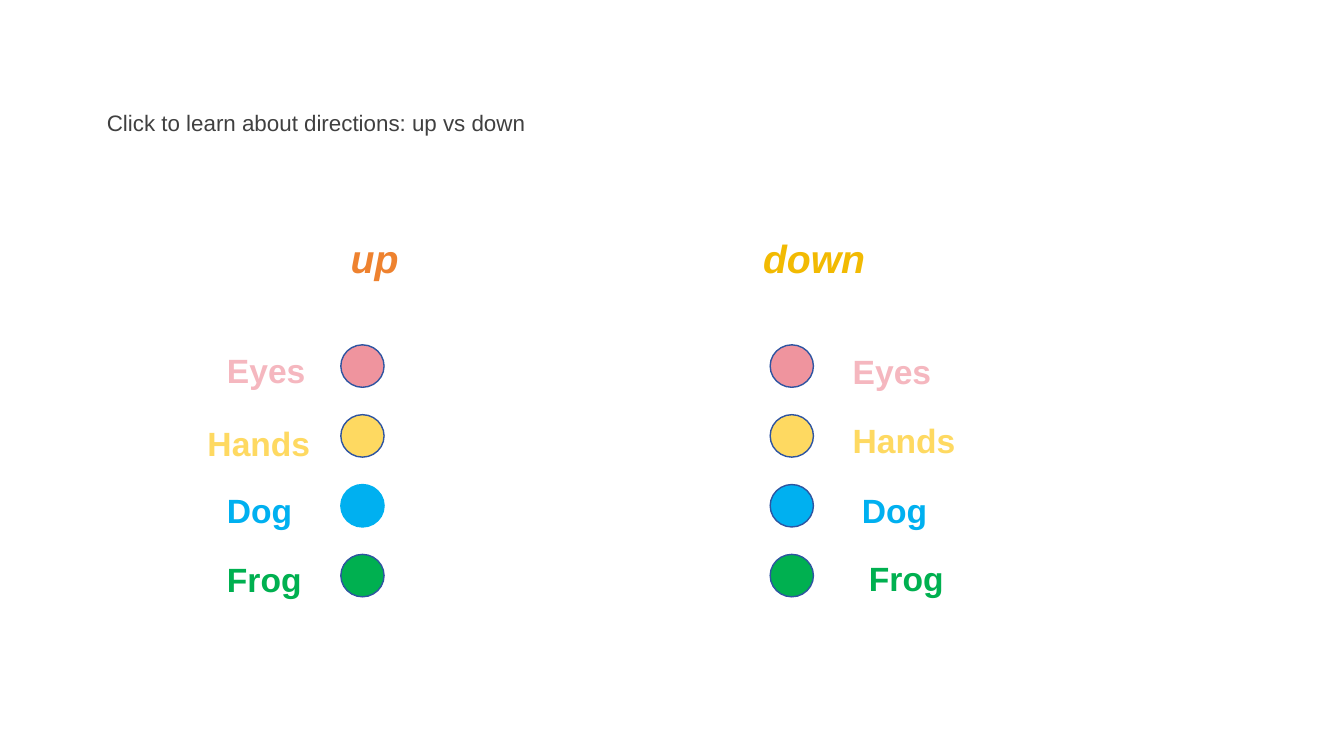
from pptx import Presentation
from pptx.dml.color import RGBColor
from pptx.enum.shapes import MSO_SHAPE
from pptx.enum.text import MSO_ANCHOR, MSO_AUTO_SIZE, PP_ALIGN
from pptx.util import Cm, Pt

OVAL = MSO_SHAPE.OVAL
TOP = MSO_ANCHOR.TOP
FIXED = MSO_AUTO_SIZE.NONE
LEFT = PP_ALIGN.LEFT

FONT = "Arial"
EDGE = "2E54A1"
PITCH = 1.76
DOT_W, DOT_H = 1.09, 1.07
ROWS = [
    ("Eyes", "EF949E", "F5B7BF", 2.69, 0.9),
    ("Hands", "FED961", "FED961", 3.42, 0.97),
    ("Dog", "00B0F0", "00B0F0", 2.21, 0.69),
    ("Frog", "00B050", "00B050", 2.6, 1.09),
]


def color(code):
    """Turn a hex string into a colour."""
    return RGBColor.from_string(code)


def write(shape, text, size, code, bold=False, slant=False):
    """Set one line of left-aligned text in a shape."""
    frame = shape.text_frame
    frame.text = text
    frame.word_wrap = True
    frame.auto_size = FIXED
    frame.vertical_anchor = TOP
    line = frame.paragraphs[0]
    line.alignment = LEFT
    font = line.runs[0].font
    font.name, font.size = FONT, Pt(size)
    font.bold, font.italic = bold, slant
    font.color.rgb = color(code)


def add_text(slide, x, y, w, h, *style):
    """Add a text box at a place given in centimetres."""
    box = slide.shapes.add_textbox(Cm(x), Cm(y), Cm(w), Cm(h))
    write(box, *style)


def add_dot(slide, x, y, fill, edge):
    """Add one coloured dot."""
    dot = slide.shapes.add_shape(OVAL, Cm(x), Cm(y), Cm(DOT_W), Cm(DOT_H))
    dot.shadow.inherit = False
    dot.fill.solid()
    dot.fill.fore_color.rgb = color(fill)
    dot.line.color.rgb = color(edge)
    dot.line.width = Pt(1)


def add_title(slide, x, y, w, h):
    """Place the prompt in the title placeholder."""
    title = slide.shapes.title
    title.left, title.top, title.width, title.height = Cm(x), Cm(y), Cm(w), Cm(h)
    write(title, "Click to learn about directions: up vs down", 16, "404040")


def add_side(slide, x, y, head, shifts, edges):
    """Place a heading above a column of dots with labels beside them."""
    word, code, dx, w, h = head
    add_text(slide, x + dx, y, w, h, word, 28, code, True, True)
    for i, (row, shift, edge) in enumerate(zip(ROWS, shifts, edges)):
        name, fill, ink, wide, high = row
        top = y + 2.9 + i * PITCH
        add_dot(slide, x, top, fill, edge)
        add_text(slide, x + shift[0], top + shift[1], wide, high, name, 24, ink, True)


def main():
    """Build and save the slide."""
    deck = Presentation()
    deck.slide_width, deck.slide_height = Cm(33.87), Cm(19.05)
    slide = deck.slides.add_slide(deck.slide_layouts[5])
    add_title(slide, 2.44, 2.62, 14.12, 0.94)
    add_side(slide, 8.59, 5.79, ("up", "EE822F", 0, 2.13, 1.14),
             [(-3.12, 0), (-3.61, 0.08), (-3.12, 0), (-3.12, 0)],
             [EDGE, EDGE, "00B0F0", EDGE])
    add_side(slide, 19.41, 5.79, ("down", "F2BA02", -0.43, 3.48, 1.35),
             [(1.83, 0.03), (1.83, 0), (2.06, 0), (2.24, -0.03)],
             [EDGE] * 4)
    deck.save("out.pptx")


if __name__ == "__main__":
    main()
